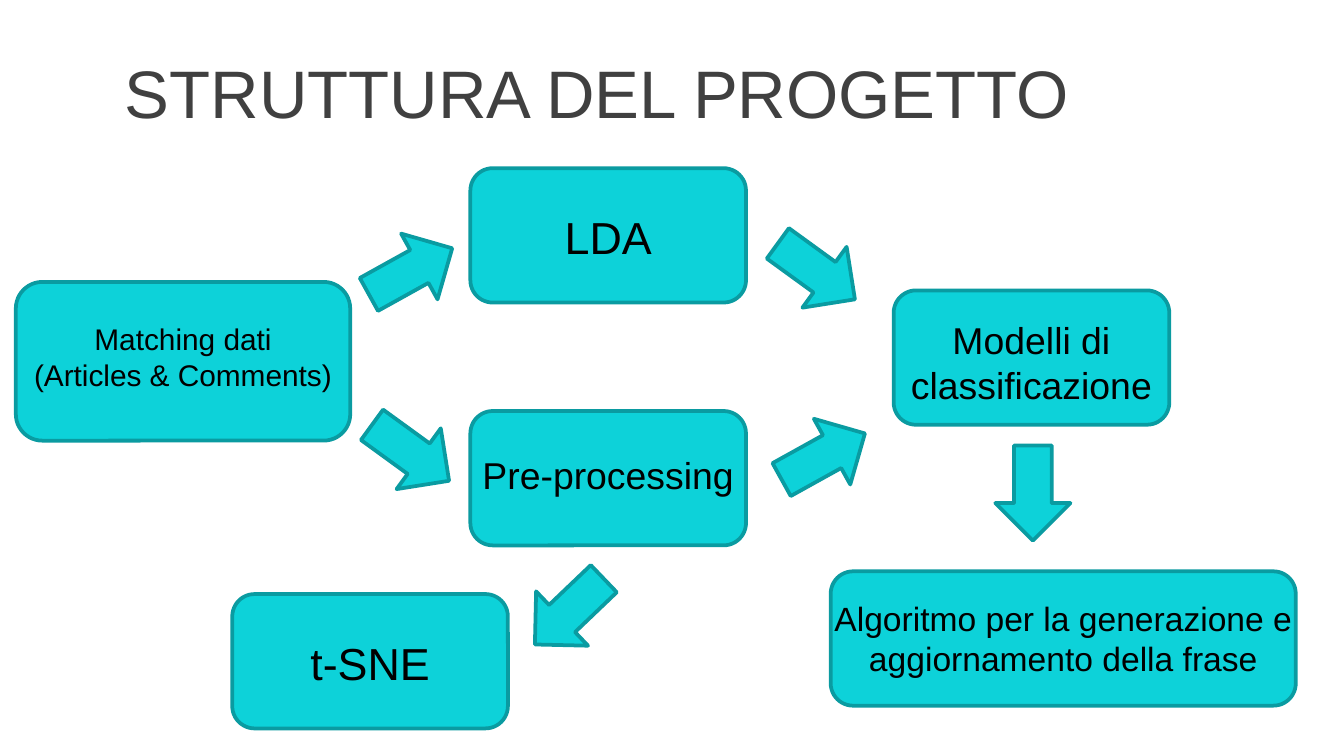
from dataclasses import dataclass

from pptx import Presentation
from pptx.dml.color import RGBColor
from pptx.enum.shapes import MSO_SHAPE
from pptx.enum.text import MSO_ANCHOR, PP_ALIGN
from pptx.shapes.autoshape import Shape
from pptx.slide import Slide
from pptx.util import Cm, Pt

ROUNDED = MSO_SHAPE.ROUNDED_RECTANGLE
RIGHT_ARROW = MSO_SHAPE.RIGHT_ARROW
MIDDLE = MSO_ANCHOR.MIDDLE
TOP = MSO_ANCHOR.TOP
CENTER = PP_ALIGN.CENTER
LEFT = PP_ALIGN.LEFT


@dataclass(frozen=True)
class Theme:
    font: str = "Arial"
    fill: RGBColor = RGBColor(0x0D, 0xD2, 0xD9)
    outline: RGBColor = RGBColor(0x0A, 0x9B, 0xA1)
    text: RGBColor = RGBColor(0, 0, 0)
    heading: RGBColor = RGBColor(0x40, 0x40, 0x40)
    outline_width: float = 2
    heading_size: int = 36
    large: int = 24
    medium: int = 20
    small: int = 18
    tiny: int = 16


@dataclass(frozen=True)
class Frame:
    left: float
    top: float
    width: float
    height: float


@dataclass(frozen=True)
class Stage:
    label: str
    left: float
    top: float
    size: int
    label_drop: float
    label_height: float
    width: float = 5.21
    height: float = 2.54
    overhang: float = 0.36


@dataclass(frozen=True)
class Flow:
    left: float
    top: float
    angle: float


THEME = Theme()
ARROW_WIDTH, ARROW_HEIGHT = 1.8, 1.42
STAGES = [
    Stage("Matching dati\n(Articles & Comments)", 0.3, 5.33, THEME.tiny,
          0.61, 1.63, width=6.32, height=3, overhang=0),
    Stage("LDA", 8.89, 3.18, THEME.large, 0.66, 1.27),
    Stage("Pre-processing", 8.89, 7.77, THEME.medium, 0.66, 1.12),
    Stage("t-SNE", 4.39, 11.23, THEME.large, 0.66, 1.27),
    Stage("Modelli di classificazione", 16.89, 5.49, THEME.medium, 0.38, 1.96),
    Stage("Algoritmo per la generazione e aggiornamento della frase", 15.7, 10.8,
          THEME.small, 0.38, 1.8, width=8.79, overhang=0.48),
]
RISING, FALLING, DOWN, DOWN_LEFT = 331, 36, 90, 136.3
FLOWS = [
    Flow(6.86, 4.42, RISING),
    Flow(6.86, 7.85, FALLING),
    Flow(9.86, 10.85, DOWN_LEFT),
    Flow(14.53, 4.42, FALLING),
    Flow(14.66, 7.92, RISING),
    Flow(18.62, 8.61, DOWN),
]


def add_block(slide: Slide, kind: MSO_SHAPE, frame: Frame) -> Shape:
    block = slide.shapes.add_shape(kind, Cm(frame.left), Cm(frame.top),
                                   Cm(frame.width), Cm(frame.height))
    block.shadow.inherit = False
    block.fill.solid()
    block.fill.fore_color.rgb = THEME.fill
    block.line.color.rgb = THEME.outline
    block.line.width = Pt(THEME.outline_width)
    return block


def add_text(slide: Slide, text: str, frame: Frame, size: int, color: RGBColor,
             align: PP_ALIGN = CENTER, anchor: MSO_ANCHOR = TOP) -> None:
    label = slide.shapes.add_textbox(Cm(frame.left), Cm(frame.top),
                                     Cm(frame.width), Cm(frame.height))
    text_frame = label.text_frame
    text_frame.word_wrap = True
    text_frame.vertical_anchor = anchor
    text_frame.text = text
    for paragraph in text_frame.paragraphs:
        paragraph.alignment = align
        for run in paragraph.runs:
            run.font.name = THEME.font
            run.font.size = Pt(size)
            run.font.color.rgb = color


def add_stage(slide: Slide, stage: Stage) -> None:
    add_block(slide, ROUNDED, Frame(stage.left, stage.top, stage.width, stage.height))
    label_frame = Frame(stage.left - stage.overhang, stage.top + stage.label_drop,
                        stage.width + 2 * stage.overhang, stage.label_height)
    add_text(slide, stage.label, label_frame, stage.size, THEME.text)


def add_flow(slide: Slide, flow: Flow) -> None:
    arrow = add_block(slide, RIGHT_ARROW,
                      Frame(flow.left, flow.top, ARROW_WIDTH, ARROW_HEIGHT))
    arrow.rotation = flow.angle


def main() -> None:
    presentation = Presentation()
    presentation.slide_width = Cm(25.4)
    presentation.slide_height = Cm(14.29)
    slide = presentation.slides.add_slide(presentation.slide_layouts[6])
    add_text(slide, "STRUTTURA DEL PROGETTO", Frame(2.11, 0.94, 23.29, 1.6),
             THEME.heading_size, THEME.heading, LEFT, MIDDLE)
    for stage in STAGES:
        add_stage(slide, stage)
    for flow in FLOWS:
        add_flow(slide, flow)
    presentation.save("out.pptx")


if __name__ == "__main__":
    main()
